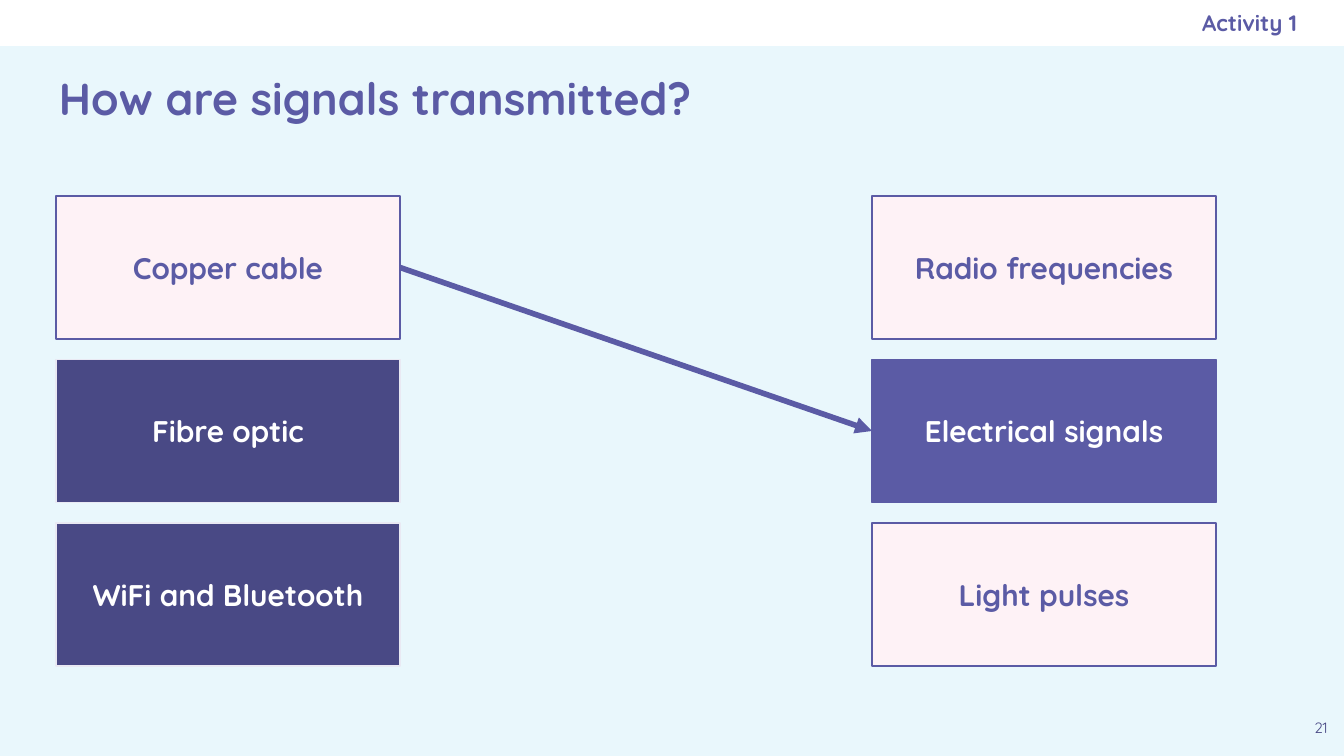
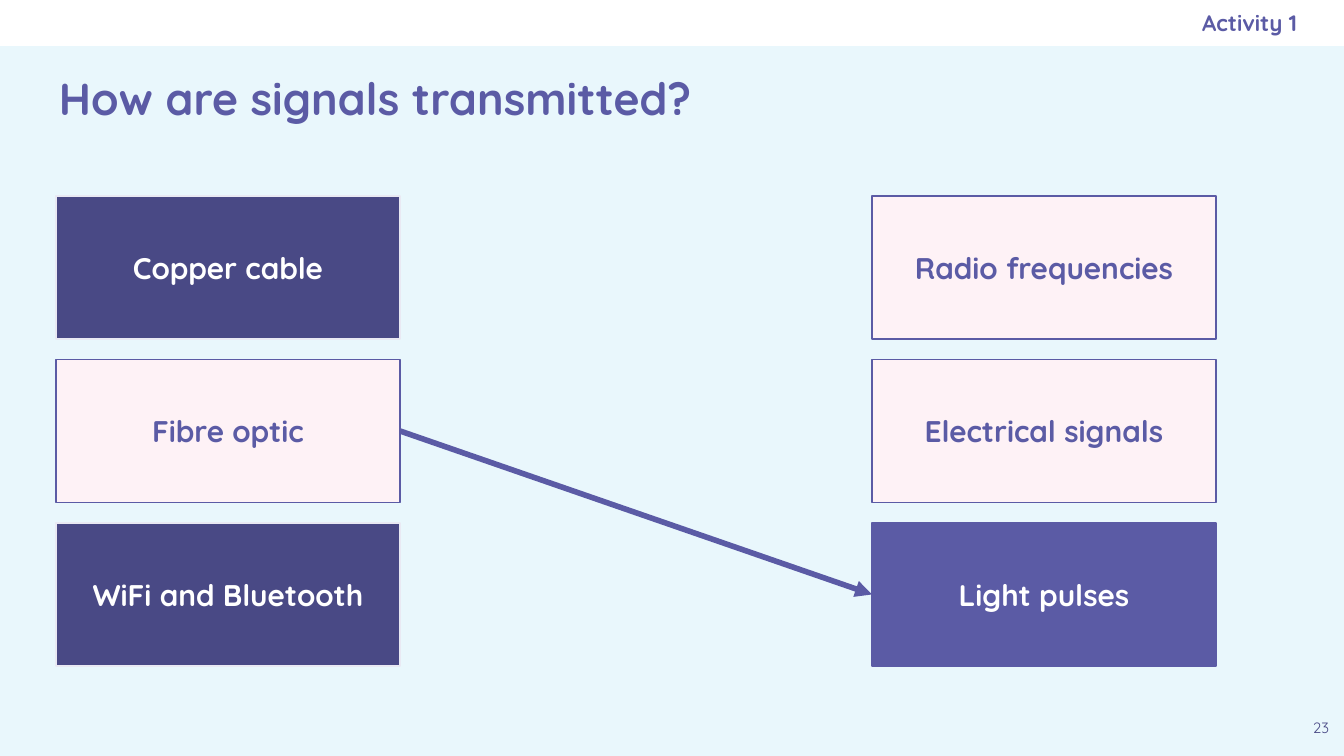
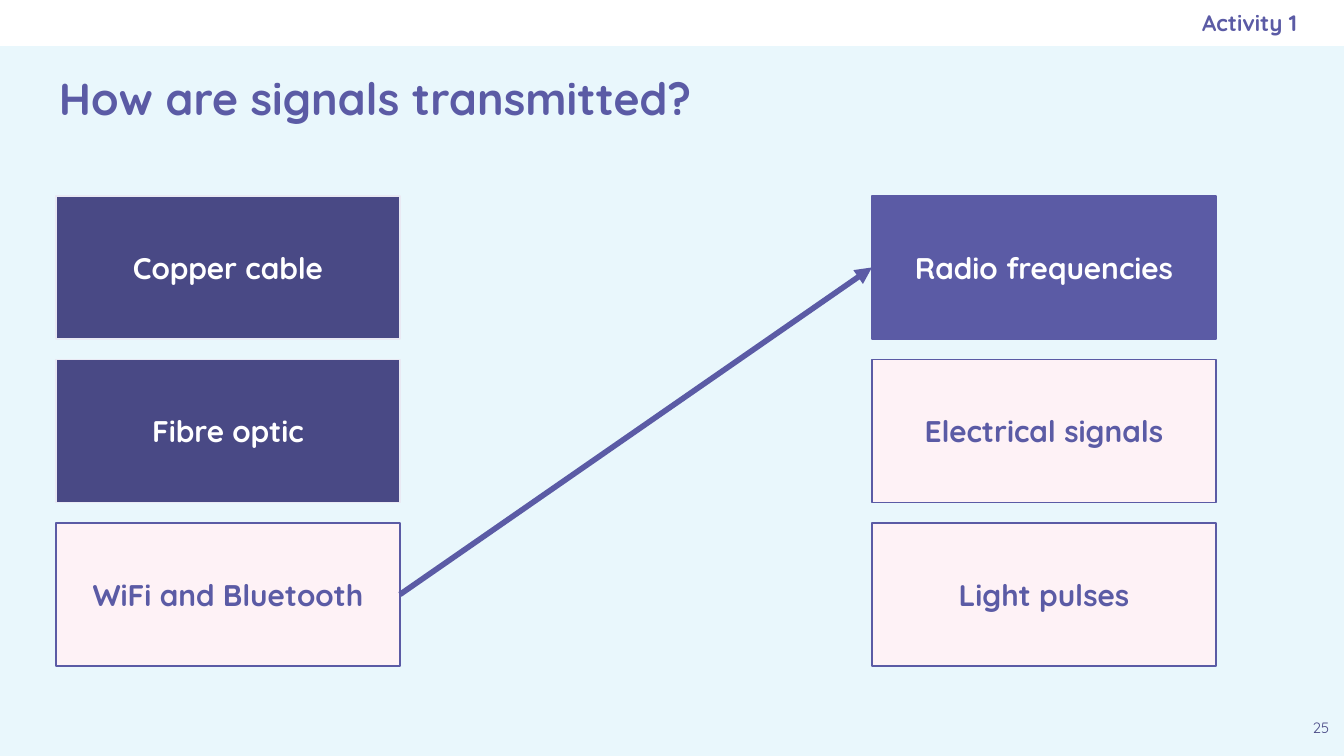
import dataclasses

import lxml.etree
import pptx
import pptx.dml.color
import pptx.enum.shapes
import pptx.enum.text
import pptx.oxml.ns
import pptx.util

SECTION = "Activity 1"
TITLE = "How are signals transmitted?"
MEDIA = ["Copper cable", "Fibre optic", "WiFi and Bluetooth"]
SIGNALS = ["Radio frequencies", "Electrical signals", "Light pulses"]
ANSWERS = [
    (21, "Copper cable", "Electrical signals"),
    (23, "Fibre optic", "Light pulses"),
    (25, "WiFi and Bluetooth", "Radio frequencies"),
]


@dataclasses.dataclass(frozen=True)
class Theme:
    font: str = "Quicksand"
    background: str = "E9F7FC"
    band: str = "FFFFFF"
    accent: str = "5B5BA5"
    dark: str = "494985"
    pale: str = "FEF2F6"
    pale_line: str = "E9E9F3"
    light_text: str = "FFFFFF"
    title_size: int = 24
    section_size: int = 12
    card_size: int = 16
    number_size: int = 8
    outline: float = 0.75
    arrow: int = 3


THEME = Theme()
PX = 914400 / 134.4
SLIDE_WIDTH, SLIDE_HEIGHT = 1344, 756
BAND_HEIGHT = 46
INSET = 13
MEDIA_LEFT, SIGNALS_LEFT = 56, 872
CARDS_TOP, CARDS_BOTTOM = 196, 666
CARD_WIDTH, CARD_HEIGHT = 344, 143
CARD_PITCH = (CARDS_BOTTOM - CARDS_TOP - CARD_HEIGHT) / (len(MEDIA) - 1)

ALIGN = pptx.enum.text.PP_ALIGN
ANCHOR = pptx.enum.text.MSO_ANCHOR
HIGHLIGHT = (THEME.accent, THEME.accent, THEME.light_text)
PALE = (THEME.pale, THEME.accent, THEME.accent)
DARK = (THEME.dark, THEME.pale_line, THEME.light_text)


def emu(pixels):
    return pptx.util.Emu(round(pixels * PX))


def rgb(value):
    return pptx.dml.color.RGBColor.from_string(value)


def write(shape, text, *, size, color, bold=True, align=ALIGN.CENTER,
          anchor=ANCHOR.MIDDLE, right_inset=INSET):
    frame = shape.text_frame
    frame.word_wrap = True
    frame.vertical_anchor = anchor
    frame.margin_left = frame.margin_top = frame.margin_bottom = emu(INSET)
    frame.margin_right = emu(right_inset)
    para = frame.paragraphs[0]
    para.alignment = align
    span = para.add_run()
    span.text = text
    span.font.name = THEME.font
    span.font.size = pptx.util.Pt(size)
    span.font.bold = bold
    span.font.color.rgb = rgb(color)


def add_text(page, text, left, top, width, height, **text_format):
    box = page.shapes.add_textbox(emu(left), emu(top), emu(width), emu(height))
    write(box, text, **text_format)


def add_rectangle(page, left, top, width, height, fill, line=None):
    box = page.shapes.add_shape(
        pptx.enum.shapes.MSO_SHAPE.RECTANGLE,
        emu(left), emu(top), emu(width), emu(height))
    box.shadow.inherit = False
    box.fill.solid()
    box.fill.fore_color.rgb = rgb(fill)
    if line:
        box.line.color.rgb = rgb(line)
        box.line.width = pptx.util.Pt(THEME.outline)
    else:
        box.line.fill.background()
    return box


def add_column(page, labels, left, chosen, chosen_style, other_style):
    cards = {}
    for row, label in enumerate(labels):
        fill, line, color = chosen_style if label == chosen else other_style
        card = add_rectangle(page, left, CARDS_TOP + row * CARD_PITCH,
                             CARD_WIDTH, CARD_HEIGHT, fill, line)
        write(card, label, size=THEME.card_size, color=color)
        cards[label] = card
    return cards[chosen]


def add_arrow(page, source, target):
    arrow = page.shapes.add_connector(
        pptx.enum.shapes.MSO_CONNECTOR.STRAIGHT, 0, 0, 0, 0)
    arrow.begin_connect(source, 3)
    arrow.end_connect(target, 1)
    arrow.line.color.rgb = rgb(THEME.accent)
    arrow.line.width = pptx.util.Pt(THEME.arrow)
    qn = pptx.oxml.ns.qn
    properties = arrow.line._get_or_add_ln()
    lxml.etree.SubElement(properties, qn("a:tailEnd"), type="triangle")
    lxml.etree.SubElement(properties.getparent(), qn("a:effectLst"))


def add_frame(page, number):
    page.background.fill.solid()
    page.background.fill.fore_color.rgb = rgb(THEME.background)
    add_rectangle(page, 0, 0, SLIDE_WIDTH, BAND_HEIGHT, THEME.band)
    add_text(page, TITLE, 46, 46, 1252, 104, size=THEME.title_size,
             color=THEME.accent, align=ALIGN.LEFT)
    add_text(page, str(number), 1298, 710, 46, 46, size=THEME.number_size,
             color=THEME.dark, bold=False, anchor=ANCHOR.TOP)
    add_text(page, SECTION, 773, 0, 524, BAND_HEIGHT, size=THEME.section_size,
             color=THEME.accent, align=ALIGN.RIGHT, right_inset=0)


def main():
    deck = pptx.Presentation()
    deck.slide_width, deck.slide_height = emu(SLIDE_WIDTH), emu(SLIDE_HEIGHT)
    for number, medium, signal in ANSWERS:
        page = deck.slides.add_slide(deck.slide_layouts[6])
        add_frame(page, number)
        source = add_column(page, MEDIA, MEDIA_LEFT, medium, PALE, DARK)
        target = add_column(page, SIGNALS, SIGNALS_LEFT, signal, HIGHLIGHT, PALE)
        add_arrow(page, source, target)
    deck.save("out.pptx")


if __name__ == "__main__":
    main()
